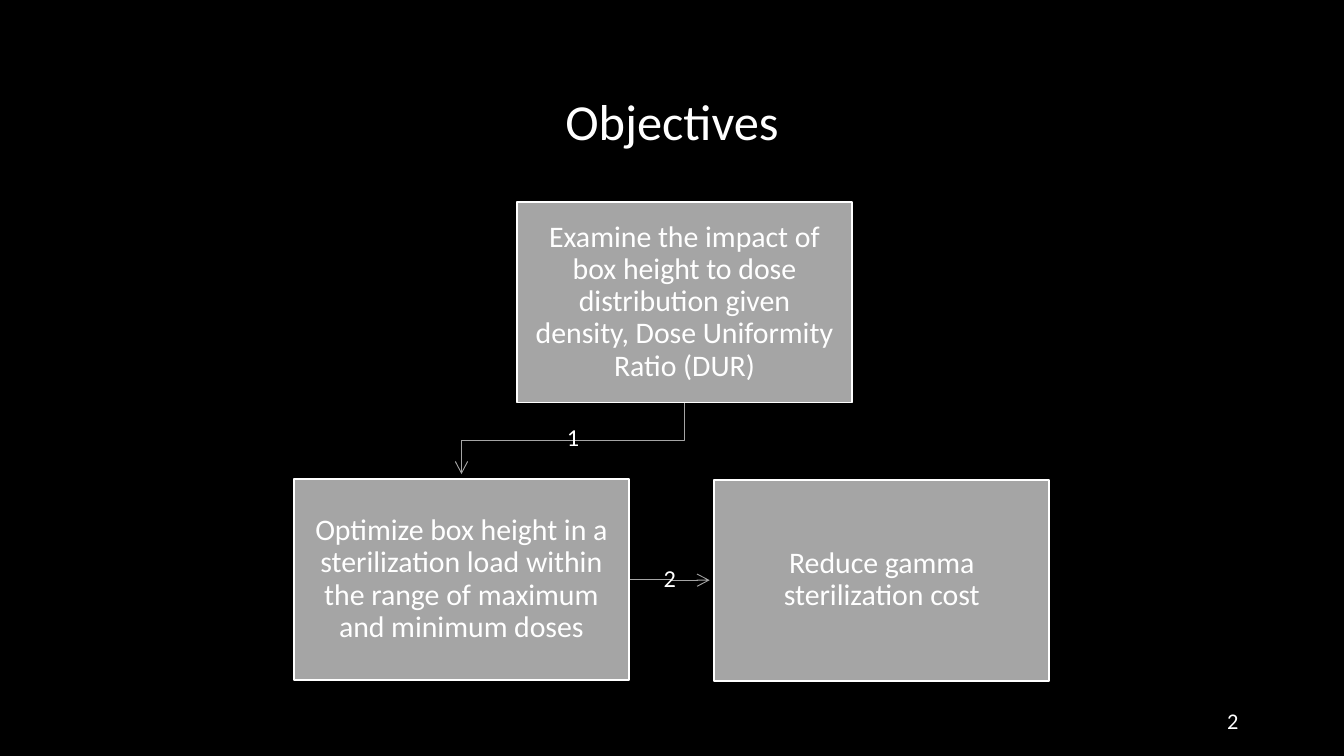
from dataclasses import dataclass

from lxml.etree import SubElement
from pptx import Presentation
from pptx.dml.color import RGBColor
from pptx.enum.shapes import MSO_SHAPE as Preset
from pptx.enum.text import MSO_ANCHOR as Anchor, PP_ALIGN as Align
from pptx.oxml.ns import qn
from pptx.util import Pt


@dataclass(frozen=True)
class Theme:
    """Colours and type sizes of the slide."""
    font: str = "Calibri"
    ground: RGBColor = RGBColor(0, 0, 0)
    ink: RGBColor = RGBColor(255, 255, 255)
    accent: RGBColor = RGBColor(0xA5, 0xA5, 0xA5)
    title: float = 27
    body: float = 16
    step: float = 13
    number: float = 12


class FlowSlide:
    """Draws themed flow elements on one slide, with lengths in points."""

    def __init__(self, deck, theme):
        self.theme = theme
        self.slide = deck.slides.add_slide(deck.slide_layouts[5])
        self.slide.background.fill.solid()
        self.slide.background.fill.fore_color.rgb = theme.ground

    def set_words(self, holder, words, size, align=Align.CENTER, spacing=0.9, insets=(7.2, 3.6)):
        frame = holder.text_frame
        frame.text = words
        frame.word_wrap = True
        frame.vertical_anchor = Anchor.MIDDLE
        frame.margin_left = frame.margin_right = Pt(insets[0])
        frame.margin_top = frame.margin_bottom = Pt(insets[1])
        paragraph = frame.paragraphs[0]
        paragraph.alignment = align
        paragraph.line_spacing = spacing
        paragraph.font.name = self.theme.font
        paragraph.font.size = Pt(size)
        paragraph.font.color.rgb = self.theme.ink

    def title(self, words, left, top, width, height):
        heading = self.slide.shapes.title
        heading.left, heading.top = Pt(left), Pt(top)
        heading.width, heading.height = Pt(width), Pt(height)
        self.set_words(heading, words, self.theme.title)

    def page_number(self, words, left, top, width, height):
        number = self.slide.shapes.add_textbox(Pt(left), Pt(top), Pt(width), Pt(height))
        self.set_words(number, words, self.theme.number, Align.RIGHT, 1.0)

    def objective(self, words, left, top, width, height):
        box = self.slide.shapes.add_shape(
            Preset.RECTANGLE, Pt(left), Pt(top), Pt(width), Pt(height))
        box.shadow.inherit = False
        box.fill.solid()
        box.fill.fore_color.rgb = self.theme.accent
        box.line.color.rgb = self.theme.ink
        box.line.width = Pt(1)
        self.set_words(box, words, self.theme.body, insets=(8.8, 9.2))

    def arrow(self, start, *bends):
        builder = self.slide.shapes.build_freeform(Pt(start[0]), Pt(start[1]))
        builder.add_line_segments([(Pt(x), Pt(y)) for x, y in bends], close=False)
        route = builder.convert_to_shape()
        route.shadow.inherit = False
        route.fill.background()
        route.line.color.rgb = self.theme.accent
        route.line.width = Pt(0.5)
        SubElement(route.element.spPr.get_or_add_ln(), qn("a:tailEnd"), type="arrow")

    def step(self, words, center_x, center_y, width=10.8, height=15.1):
        label = self.slide.shapes.add_textbox(
            Pt(center_x - width / 2), Pt(center_y - height / 2), Pt(width), Pt(height))
        self.set_words(label, words, self.theme.step, insets=(0.7, 0))


def main():
    """Build the objectives slide and save it."""
    deck = Presentation()
    deck.slide_width, deck.slide_height = Pt(720), Pt(405)
    flow = FlowSlide(deck, Theme())
    width, height = 179.5, 107.7
    examine, optimize, reduce_cost = (277, 108), (157.5, 256.5), (382.7, 257)
    flow.title("Objectives", 49.5, 33, 621, 67)
    flow.page_number("2", 508.5, 375.2, 162, 21.6)

    from_x, to_x = examine[0] + width / 2, optimize[0] + width / 2
    from_y, to_y = examine[1] + height, optimize[1] - 2.5
    turn_y = (examine[1] + height + optimize[1]) / 2
    flow.arrow((from_x, from_y), (from_x, turn_y), (to_x, turn_y), (to_x, to_y))
    flow.step("1", (from_x + to_x) / 2, turn_y - 1)

    from_x, to_x = optimize[0] + width, reduce_cost[0] - 2.5
    from_y, to_y = optimize[1] + height / 2, reduce_cost[1] + height / 2
    turn_x = (from_x + reduce_cost[0]) / 2
    flow.arrow((from_x, from_y), (turn_x, from_y), (turn_x, to_y), (to_x, to_y))
    flow.step("2", turn_x - 1, from_y)

    objectives = (
        (examine, "Examine the impact of box height to dose distribution given density, "
                  "Dose Uniformity Ratio (DUR)"),
        (optimize, "Optimize box height in a sterilization load within the range of "
                   "maximum and minimum doses"),
        (reduce_cost, "Reduce gamma sterilization cost"),
    )
    for (left, top), words in objectives:
        flow.objective(words, left, top, width, height)
    deck.save("out.pptx")


if __name__ == "__main__":
    main()
